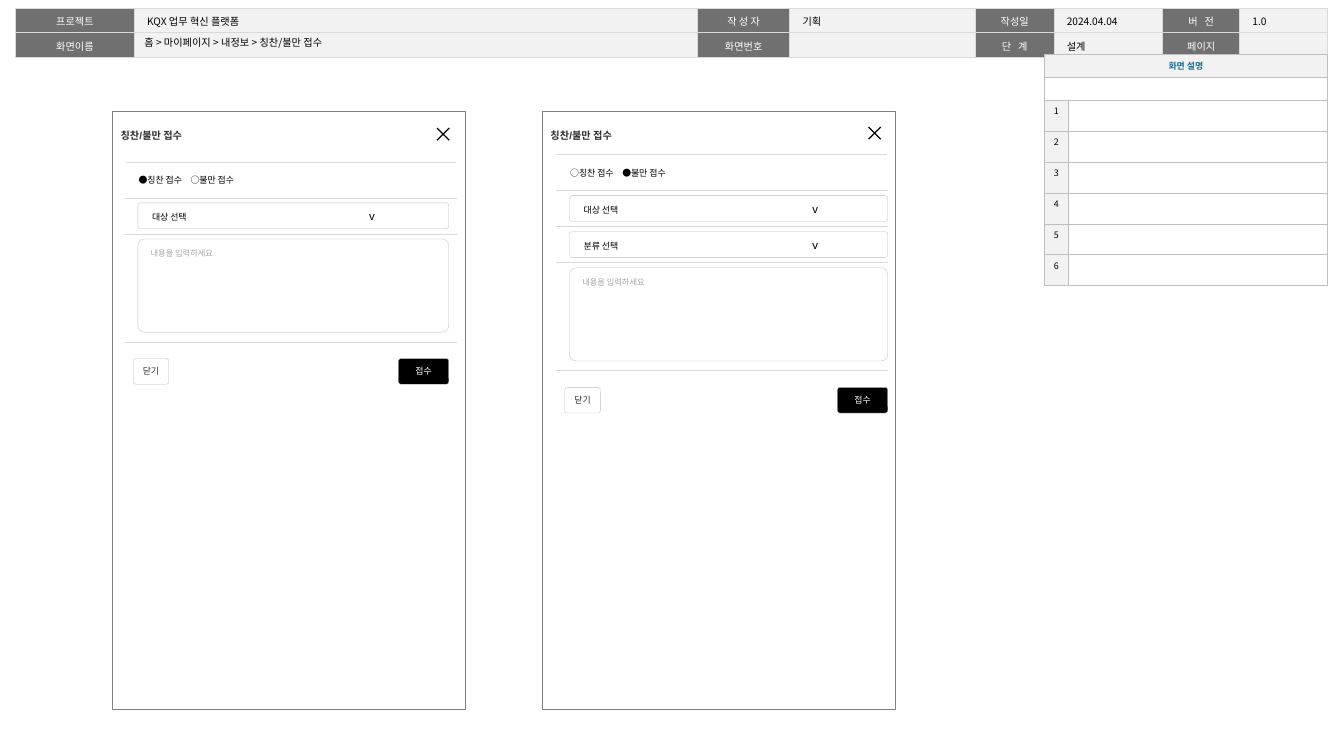
from dataclasses import dataclass

from lxml import etree
from pptx import Presentation
from pptx.dml.color import RGBColor
from pptx.enum.shapes import MSO_CONNECTOR, MSO_SHAPE
from pptx.enum.text import MSO_ANCHOR, MSO_AUTO_SIZE, PP_ALIGN
from pptx.oxml.ns import qn
from pptx.util import Pt

CENTER, LEFT = PP_ALIGN.CENTER, PP_ALIGN.LEFT
TOP, MIDDLE = MSO_ANCHOR.TOP, MSO_ANCHOR.MIDDLE
RECTANGLE, ROUNDED = MSO_SHAPE.RECTANGLE, MSO_SHAPE.ROUNDED_RECTANGLE


@dataclass(frozen=True)
class Theme:
    korean: str = "Noto Sans CJK KR"
    latin: str = "Arial"
    black: str = "000000"
    white: str = "FFFFFF"
    ink: str = "2E2E2E"
    hint: str = "A6A6A6"
    blue: str = "176F9B"
    label: str = "707070"
    pale: str = "F2F2F2"
    rule: str = "D9D9D9"
    edge: str = "BFBFBF"
    frame: str = "808080"
    heading_size: float = 8
    body_size: float = 7
    hint_size: float = 6.5
    arrow_size: float = 9


THEME = Theme()

BREADCRUMB = "홈 > 마이페이지 > 내정보 > 칭찬/불만 접수"
HEADER_COLUMNS = [93.7, 443.5, 72.7, 146.2, 61.9, 85.7, 60.5, 69.1]
HEADER_ROWS = [
    ["프로젝트", "KQX 업무 혁신 플랫폼", "작 성 자", "기획", "작성일", "2024.04.04", "버 전", "1.0"],
    ["화면이름", "", "화면번호", "", "단 계", "설계", "페이지", ""],
]
WIDE_LABELS = {"버 전": 1.8, "단 계": 1.8}
NOTES_TITLE = "화면 설명"
NOTE_COUNT = 6
SCREEN_TITLE = "칭찬/불만 접수"
MEMO_HINT = "내용을 입력하세요"
CLOSE, SUBMIT = "닫기", "접수"
SCREENS = [
    {"frame_x": 88.5, "form": (98.6, 127.4), "cross": (344.2, 100.8), "field_width": 244.8,
     "arrow_tab": 171, "choices": ["●칭찬 접수", "○불만 접수"], "fields": ["대상 선택"]},
    {"frame_x": 427, "form": (438.5, 121.7), "cross": (684, 100.1), "field_width": 250.6,
     "arrow_tab": 180, "choices": ["○칭찬 접수", "●불만 접수"], "fields": ["대상 선택", "분류 선택"]},
]

FRAME_TOP, FRAME_WIDTH, FRAME_HEIGHT = 87.8, 278, 471
FORM_WIDTH, FORM_ROW, MEMO_ROW = 260.6, 28.4, 85
FIELD_INDENT, FIELD_GAP, FIELD_HEIGHT, MEMO_HEIGHT = 10, 4, 20.2, 73.4
BUTTON_GAP, CLOSE_WIDTH, SUBMIT_WIDTH, CROSS = 13.2, 28, 39.6, 9.6


def rgb(colour):
    return RGBColor.from_string(colour)


def add_span(para, text, size, colour, latin=THEME.latin, bold=False, spacing=0):
    span = para.add_run()
    span.text = text
    font = span.font
    font.size, font.bold, font.name = Pt(size), bold, latin
    font.color.rgb = rgb(colour)
    etree.SubElement(font._element, qn("a:ea"), typeface=THEME.korean)
    if spacing:
        font._element.set("spc", str(round(spacing * 100)))


def set_margins(holder, left, top, right, bottom):
    holder.margin_left, holder.margin_top = Pt(left), Pt(top)
    holder.margin_right, holder.margin_bottom = Pt(right), Pt(bottom)


def add_tab(para, position):
    stops = etree.SubElement(para._p.get_or_add_pPr(), qn("a:tabLst"))
    etree.SubElement(stops, qn("a:tab"), pos=str(Pt(position)), algn="l")


def add_grid(page, x, y, columns, rows):
    shape = page.shapes.add_table(len(rows), len(columns), Pt(x), Pt(y), Pt(sum(columns)), Pt(sum(rows)))
    table = shape.table
    table.first_row = table.horz_banding = False
    for column, width in zip(table.columns, columns):
        column.width = Pt(width)
    for row, height in zip(table.rows, rows):
        row.height = Pt(height)
    return table


def style_cell(cell, fill, borders, margins, anchor=TOP, align=LEFT):
    """Format a cell; borders maps L, R, T, B to (colour, width). Return its paragraph."""
    properties = cell._tc.get_or_add_tcPr()
    for side, (colour, width) in borders.items():
        line = etree.SubElement(properties, qn("a:ln" + side), w=str(Pt(width)))
        solid = etree.SubElement(line, qn("a:solidFill"))
        etree.SubElement(solid, qn("a:srgbClr"), val=colour)
    cell.fill.solid()
    cell.fill.fore_color.rgb = rgb(fill)
    set_margins(cell, *margins)
    cell.vertical_anchor = anchor
    para = cell.text_frame.paragraphs[0]
    para.alignment = align
    para._p.get_or_add_endParaRPr().set("sz", str(round(THEME.body_size * 100)))
    return para


def add_panel(page, kind, x, y, width, height, fill, line, weight, radius=None):
    panel = page.shapes.add_shape(kind, Pt(x), Pt(y), Pt(width), Pt(height))
    panel.shadow.inherit = False
    if radius is not None:
        panel.adjustments[0] = radius
    if fill:
        panel.fill.solid()
        panel.fill.fore_color.rgb = rgb(fill)
    else:
        panel.fill.background()
    panel.line.color.rgb = rgb(line)
    panel.line.width = Pt(weight)
    return panel


def add_control(page, x, y, width, height, margins, fill=THEME.white, radius=0.1, anchor=MIDDLE, align=LEFT, wrap=True):
    """Add a rounded form control and return its paragraph."""
    frame = add_panel(page, ROUNDED, x, y, width, height, fill, THEME.edge, 0.25, radius).text_frame
    set_margins(frame, *margins)
    frame.word_wrap, frame.vertical_anchor = wrap, anchor
    frame.paragraphs[0].alignment = align
    return frame.paragraphs[0]


def add_header(page):
    table = add_grid(page, 12.2, 6.5, HEADER_COLUMNS, [17.6] * len(HEADER_ROWS))
    borders = dict.fromkeys("LRTB", (THEME.rule, 1))
    for r, texts in enumerate(HEADER_ROWS):
        for c, text in enumerate(texts):
            is_label = c % 2 == 0
            para = style_cell(table.cell(r, c), THEME.label if is_label else THEME.pale, borders,
                              (10, 3.6, 10, 3.6), align=CENTER if is_label else LEFT)
            para.line_spacing = 1.05
            if text:
                add_span(para, text, THEME.heading_size, THEME.white if is_label else THEME.black,
                         THEME.korean, spacing=WIDE_LABELS.get(text, 0))


def add_breadcrumb(page):
    title = page.shapes.title
    page.shapes._spTree.append(title._element)
    title.left, title.top, title.width, title.height = Pt(105.8), Pt(27.4), Pt(277), Pt(11.5)
    frame = title.text_frame
    frame.auto_size, frame.word_wrap, frame.vertical_anchor = MSO_AUTO_SIZE.NONE, True, MIDDLE
    set_margins(frame, 7.9, 3.6, 7.9, 3.6)
    frame.paragraphs[0].alignment = LEFT
    add_span(frame.paragraphs[0], BREADCRUMB, THEME.heading_size, THEME.black, THEME.korean)


def add_notes_table(page):
    table = add_grid(page, 822.4, 42.6, [19, 204], [18, 18] + [24.4] * NOTE_COUNT)
    borders = dict.fromkeys("LRTB", (THEME.edge, 0.25))
    for r in range(NOTE_COUNT + 2):
        for c in range(2):
            shaded = r == 0 or (r > 1 and c == 0)
            para = style_cell(table.cell(r, c), THEME.pale if shaded else THEME.white, borders,
                              (2.9, 3.6, 2.9, 3.6), TOP if r else MIDDLE, CENTER)
            if r == 0 and c == 0:
                add_span(para, NOTES_TITLE, THEME.body_size, THEME.blue, THEME.korean, bold=True)
            elif r > 1 and c == 0:
                add_span(para, str(r - 1), THEME.body_size, THEME.black, THEME.korean)
    for r in range(2):
        table.cell(r, 0).merge(table.cell(r, 1))


def add_cross(page, x, y):
    for start, end in ((y, y + CROSS), (y + CROSS, y)):
        stroke = page.shapes.add_connector(MSO_CONNECTOR.STRAIGHT, Pt(x), Pt(start), Pt(x + CROSS), Pt(end))
        stroke.line.color.rgb = rgb(THEME.black)
        stroke.line.width = Pt(1)
        etree.SubElement(stroke._element.spPr, qn("a:effectLst"))


def add_screen_title(page, x):
    box = page.shapes.add_textbox(Pt(x), Pt(93.6), Pt(142.6), Pt(20.2))
    box.text_frame.word_wrap = True
    set_margins(box.text_frame, 0, 3.6, 0, 3.6)
    para = box.text_frame.paragraphs[0]
    para.line_spacing = 1.5
    add_span(para, SCREEN_TITLE, THEME.heading_size, THEME.ink, bold=True)


def add_form(page, screen):
    x, y = screen["form"]
    rows = [FORM_ROW] * (len(screen["fields"]) + 1) + [MEMO_ROW]
    table = add_grid(page, x, y, [FORM_WIDTH], rows)
    borders = {"R": (THEME.white, 1), "T": (THEME.rule, 0.25), "B": (THEME.rule, 0.25)}
    paras = [style_cell(table.cell(r, 0), THEME.white, borders, (10.6, 3.6, 5.8, 3.6), MIDDLE)
             for r in range(len(rows))]
    add_tab(paras[0], 41)
    add_span(paras[0], "\t".join(screen["choices"]), THEME.body_size, THEME.black)

    field_x, field_width = x + FIELD_INDENT, screen["field_width"]
    for i, name in enumerate(screen["fields"], start=1):
        para = add_control(page, field_x, y + i * FORM_ROW + FIELD_GAP, field_width, FIELD_HEIGHT, (10.6, 0, 5.8, 0))
        add_tab(para, screen["arrow_tab"])
        add_span(para, name + "\t", THEME.body_size, THEME.black)
        add_span(para, "v", THEME.arrow_size, THEME.black)
    memo_y = y + sum(rows[:-1]) + FIELD_GAP
    para = add_control(page, field_x, memo_y, field_width, MEMO_HEIGHT, (8.6, 5.8, 5.8, 5.8), radius=0.07, anchor=TOP)
    add_span(para, MEMO_HINT, THEME.hint_size, THEME.hint)

    submit_x = field_x + field_width - SUBMIT_WIDTH
    for text, left, width, fill, colour in ((CLOSE, x + 6.3, CLOSE_WIDTH, THEME.white, THEME.ink),
                                            (SUBMIT, submit_x, SUBMIT_WIDTH, THEME.black, THEME.white)):
        para = add_control(page, left, y + sum(rows) + BUTTON_GAP, width, FIELD_HEIGHT, (2.9, 0, 2.9, 0),
                           fill, align=CENTER, wrap=False)
        add_span(para, text, THEME.body_size, colour)


def main():
    deck = Presentation()
    deck.slide_width, deck.slide_height = Pt(1058.4), Pt(595.4)
    page = deck.slides.add_slide(deck.slide_layouts[5])
    add_header(page)
    for screen in SCREENS:
        add_panel(page, RECTANGLE, screen["frame_x"], FRAME_TOP, FRAME_WIDTH, FRAME_HEIGHT, None, THEME.frame, 0.5)
        add_cross(page, *screen["cross"])
    add_breadcrumb(page)
    add_notes_table(page)
    for screen in SCREENS:
        add_screen_title(page, screen["frame_x"] + 6.5)
        add_form(page, screen)
    deck.save("out.pptx")


if __name__ == "__main__":
    main()
